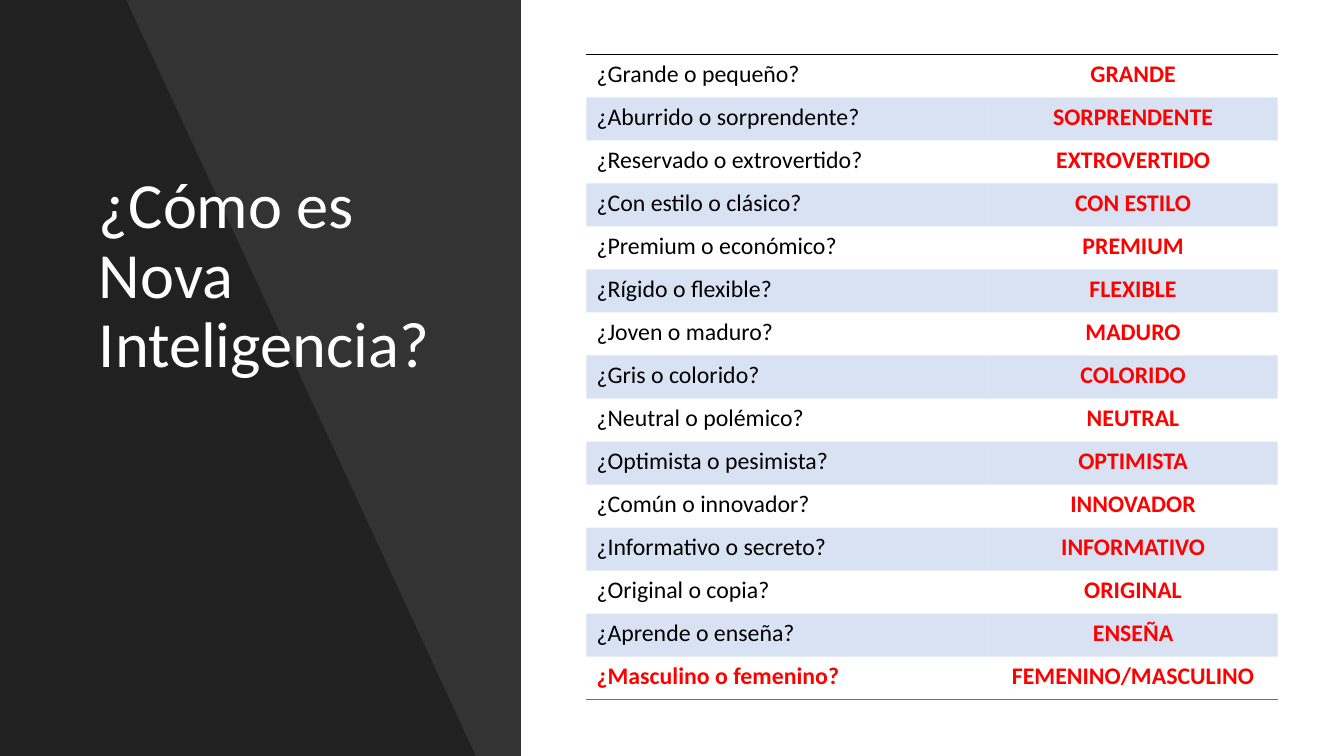
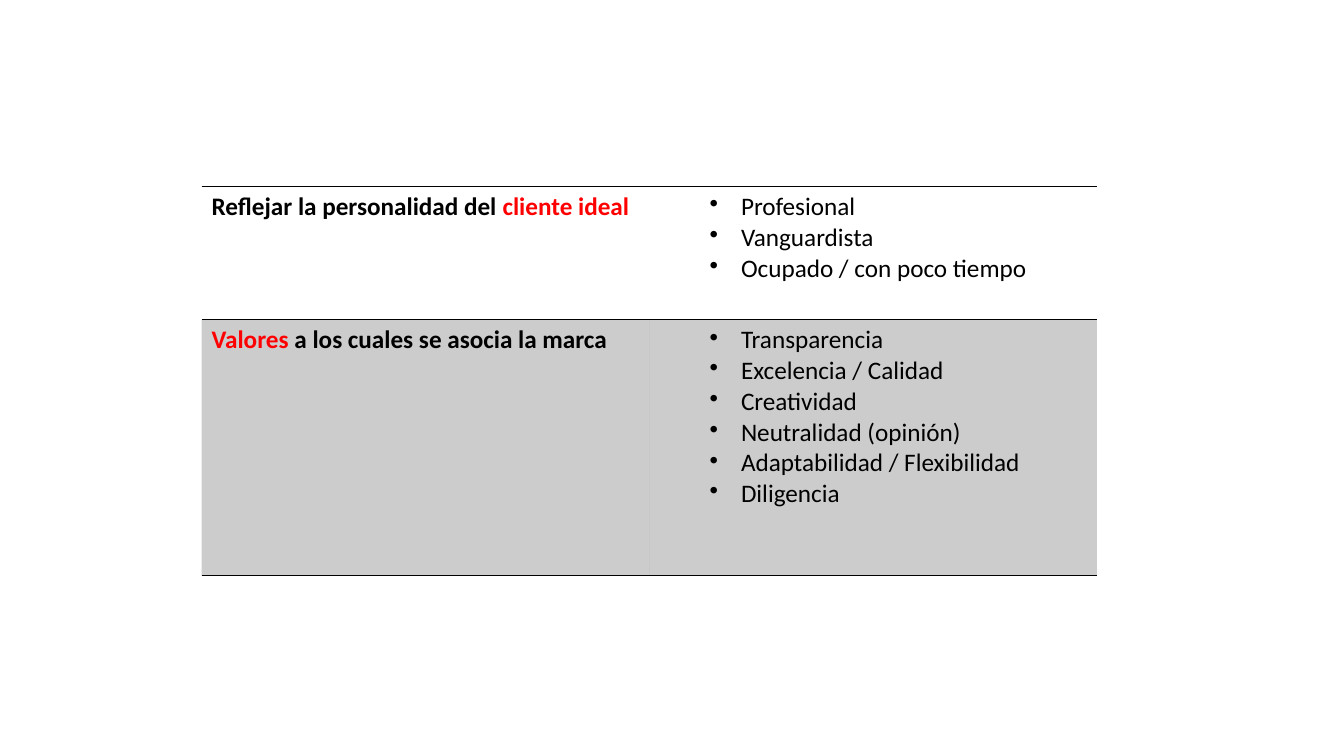
from lxml import etree
from pptx import Presentation
from pptx.dml.color import RGBColor
from pptx.enum import shapes, text
from pptx.oxml import ns
from pptx.util import Cm, Pt

COLOURS = {
    "black": "000000",
    "white": "FFFFFF",
    "accent": "FF0000",
    "blue": "4472C4",
}
FONT = "Calibri"
PLAIN_TABLE = "{2D5ABB26-0587-4C30-8999-92F81FD0307C}"
HEIGHT = 19.05

TRAITS = [
    ("¿Grande o pequeño?", "GRANDE"),
    ("¿Aburrido o sorprendente?", "SORPRENDENTE"),
    ("¿Reservado o extrovertido?", "EXTROVERTIDO"),
    ("¿Con estilo o clásico?", "CON ESTILO"),
    ("¿Premium o económico?", "PREMIUM"),
    ("¿Rígido o flexible?", "FLEXIBLE"),
    ("¿Joven o maduro?", "MADURO"),
    ("¿Gris o colorido?", "COLORIDO"),
    ("¿Neutral o polémico?", "NEUTRAL"),
    ("¿Optimista o pesimista?", "OPTIMISTA"),
    ("¿Común o innovador?", "INNOVADOR"),
    ("¿Informativo o secreto?", "INFORMATIVO"),
    ("¿Original o copia?", "ORIGINAL"),
    ("¿Aprende o enseña?", "ENSEÑA"),
    ("¿Masculino o femenino?", "FEMENINO/MASCULINO"),
]
BRAND = [
    (
        [("Reflejar la personalidad del ", "black"), ("cliente ideal", "accent")],
        ["Profesional", "Vanguardista", "Ocupado / con poco tiempo"],
    ),
    (
        [("Valores ", "accent"), ("a los cuales se asocia la marca", "black")],
        ["Transparencia", "Excelencia / Calidad", "Creatividad",
         "Neutralidad (opinión)", "Adaptabilidad / Flexibilidad", "Diligencia"],
    ),
]


def rgb(colour):
    return RGBColor.from_string(COLOURS[colour])


def sub(parent, tag, **attributes):
    return etree.SubElement(parent, ns.qn(tag), **attributes)


class Deck:
    def __init__(self):
        self.prs = Presentation()
        self.prs.slide_width, self.prs.slide_height = Cm(33.87), Cm(HEIGHT)
        self.slide = None

    def new_slide(self, layout):
        self.slide = self.prs.slides.add_slide(self.prs.slide_layouts[layout])

    def style(self, paragraph, size, colour="black", bold=False):
        font = paragraph.font
        font.name, font.size, font.bold = FONT, Pt(size), bold
        font.color.rgb = rgb(colour)

    def tint(self, fill, properties, colour, opacity):
        fill.solid()
        fill.fore_color.rgb = rgb(colour)
        solid = properties.find(ns.qn("a:solidFill"))
        sub(solid[0], "a:alpha", val=str(opacity * 1000))

    def finish(self, shape, colour, opacity):
        shape.shadow.inherit = False
        shape.line.fill.background()
        self.tint(shape.fill, shape.element.spPr, colour, opacity)

    def panel(self, width, opacity):
        panel = self.slide.shapes.add_shape(
            shapes.MSO_SHAPE.RECTANGLE, 0, 0, Cm(width), Cm(HEIGHT))
        self.finish(panel, "black", opacity)

    def wedge(self, top_width, bottom_width, opacity):
        outline = self.slide.shapes.build_freeform(0, 0)
        outline.add_line_segments([
            (Cm(top_width), 0), (Cm(bottom_width), Cm(HEIGHT)), (0, Cm(HEIGHT))])
        self.finish(outline.convert_to_shape(), "black", opacity)

    def title(self, wording, left, top, width, height):
        title = self.slide.shapes.title
        title.element.getparent().append(title.element)
        title.left, title.top = Cm(left), Cm(top)
        title.width, title.height = Cm(width), Cm(height)
        frame = title.text_frame
        frame.text = wording
        frame.word_wrap = True
        frame.auto_size = text.MSO_AUTO_SIZE.NONE
        frame.vertical_anchor = text.MSO_ANCHOR.BOTTOM
        paragraph = frame.paragraphs[0]
        paragraph.alignment = text.PP_ALIGN.LEFT
        paragraph.line_spacing = 0.9
        self.style(paragraph, 46, "white")

    def table(self, left, top, widths, heights):
        frame = self.slide.shapes.add_table(
            len(heights), len(widths), Cm(left), Cm(top),
            Cm(sum(widths)), Cm(sum(heights)))
        table = frame.table
        table.first_row = table.horz_banding = False
        table._tbl.tblPr.find(ns.qn("a:tableStyleId")).text = PLAIN_TABLE
        for column, width in zip(table.columns, widths):
            column.width = Cm(width)
        for row, height in zip(table.rows, heights):
            row.height = Cm(height)
        return table

    def band(self, row, colour=None):
        for cell in row.cells:
            if colour:
                self.tint(cell.fill, cell._tc.get_or_add_tcPr(), colour, 20)
            else:
                cell.fill.background()

    def rule(self, row, side, colour="black"):
        for cell in row.cells:
            properties = cell._tc.get_or_add_tcPr()
            line = etree.Element(ns.qn(side), w=str(Pt(1)))
            sub(sub(line, "a:solidFill"), "a:srgbClr", val=COLOURS[colour])
            properties.insert(len(properties.findall(ns.qn("a:lnT"))), line)

    def label(self, cell, wording, size, colour="black", bold=False, align=None):
        cell.text = wording
        paragraph = cell.text_frame.paragraphs[0]
        paragraph.alignment = align
        self.style(paragraph, size, colour, bold)

    def heading(self, cell, parts, size):
        paragraph = cell.text_frame.paragraphs[0]
        self.style(paragraph, size, bold=True)
        for wording, colour in parts:
            run = paragraph.add_run()
            run.text = wording
            run.font.color.rgb = rgb(colour)

    def bullets(self, cell, items, size):
        cell.text = "\n".join(items)
        for paragraph in cell.text_frame.paragraphs:
            paragraph.level = 1
            self.style(paragraph, size)
            properties = paragraph._p.get_or_add_pPr()
            properties.set("marL", str(Cm(2.06)))
            properties.set("indent", str(Cm(-0.79)))
            bullet = etree.Element(ns.qn("a:buChar"), char="•")
            properties.find(ns.qn("a:defRPr")).addprevious(bullet)


def personality_slide(deck):
    deck.new_slide(5)
    deck.panel(13.13, 80)
    deck.wedge(3.18, 11.99, 35)
    deck.title("¿Cómo es Nova Inteligencia?", 2.24, 3.12, 9.19, 6.63)
    count = len(TRAITS)
    traits = deck.table(14.78, 1.37, [10.13, 7.29], [16.26 / count] * count)
    for index, (question, answer) in enumerate(TRAITS):
        row = traits.rows[index]
        last = index == count - 1
        deck.label(row.cells[0], question, 17, "accent" if last else "black", last)
        deck.label(row.cells[1], answer, 17, "accent", True, text.PP_ALIGN.CENTER)
        deck.band(row, "blue" if index % 2 else None)
    deck.rule(traits.rows[0], "a:lnT")
    deck.rule(traits.rows[count - 1], "a:lnB", "blue")


def brand_slide(deck):
    deck.new_slide(6)
    brand = deck.table(5.08, 4.7, [11.28, 11.28], [3.36, 6.45])
    for row, (topic, items), colour in zip(brand.rows, BRAND, (None, "black")):
        deck.heading(row.cells[0], topic, 18)
        deck.bullets(row.cells[1], items, 18)
        deck.band(row, colour)
        deck.rule(row, "a:lnT")
        deck.rule(row, "a:lnB")


def main():
    deck = Deck()
    personality_slide(deck)
    brand_slide(deck)
    deck.prs.save("out.pptx")


if __name__ == "__main__":
    main()
